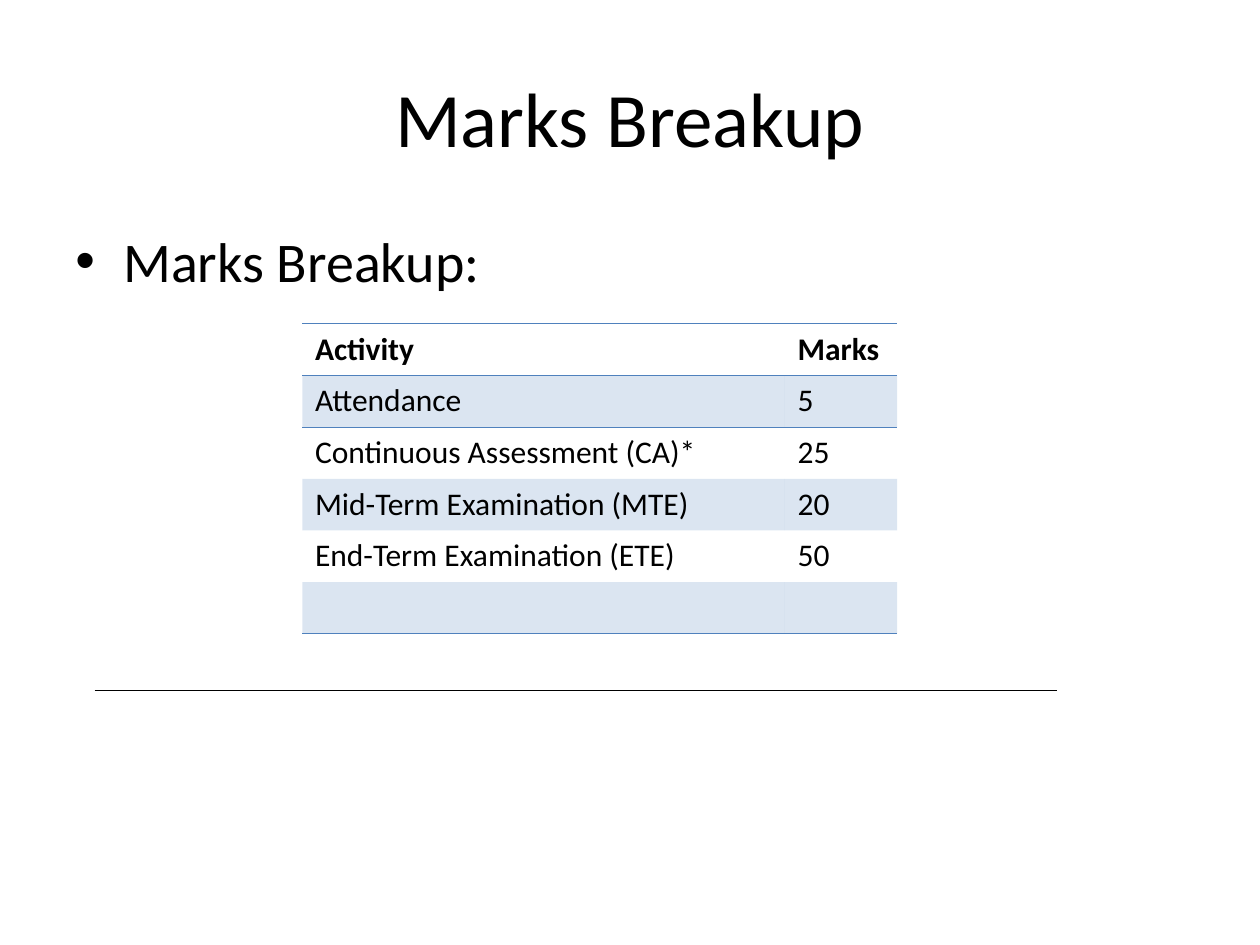
from lxml import etree
from pptx import Presentation
from pptx.dml.color import RGBColor
from pptx.enum.shapes import MSO_CONNECTOR
from pptx.enum.text import MSO_ANCHOR, PP_ALIGN
from pptx.oxml.ns import qn
from pptx.util import Inches, Pt

BLACK = RGBColor(0x00, 0x00, 0x00)
BLUE = RGBColor(0x4F, 0x81, 0xBD)
STRAIGHT = MSO_CONNECTOR.STRAIGHT
MIDDLE, TOP = MSO_ANCHOR.MIDDLE, MSO_ANCHOR.TOP
CENTER, LEFT = PP_ALIGN.CENTER, PP_ALIGN.LEFT
NO_GRID = "{2D5ABB26-0587-4C30-8999-92F81FD0307C}"

ROWS = [
    ("Activity", "Marks"),
    ("Attendance", "5"),
    ("Continuous Assessment (CA)*", "25"),
    ("Mid-Term Examination (MTE)", "20"),
    ("End-Term Examination (ETE)", "50"),
    ("", ""),
]


class Page:
    """Draws elements on one slide in a shared style."""

    def __init__(self, slide, face="Calibri"):
        self.shapes = slide.shapes
        self.face = face

    def style(self, para, size, bold=False):
        font = para.font
        font.name, font.size, font.bold = self.face, Pt(size), bold
        font.color.rgb = BLACK

    def text(self, words, box, size, align=LEFT, anchor=TOP, bullet=False):
        frame = self.shapes.add_textbox(*map(Inches, box)).text_frame
        frame.word_wrap = True
        frame.vertical_anchor = anchor
        para = frame.paragraphs[0]
        para.text = words
        para.alignment = align
        if bullet:
            props = para._p.get_or_add_pPr()
            props.set("marL", str(Inches(0.38)))
            props.set("indent", str(-Inches(0.38)))
            etree.SubElement(props, qn("a:buFont")).set("typeface", "Arial")
            etree.SubElement(props, qn("a:buChar")).set("char", "•")
        self.style(para, size)

    def edge(self, cell, tag):
        """Draw a thin blue border; call before the cell gets its fill."""
        line = etree.SubElement(cell._tc.get_or_add_tcPr(), qn(tag))
        line.set("w", str(Pt(0.45)))
        solid = etree.SubElement(line, qn("a:solidFill"))
        etree.SubElement(solid, qn("a:srgbClr")).set("val", str(BLUE))

    def tint(self, cell):
        cell.fill.solid()
        cell.fill.fore_color.rgb = BLUE
        color = cell._tc.tcPr.find(qn("a:solidFill")).find(qn("a:srgbClr"))
        etree.SubElement(color, qn("a:alpha")).set("val", "20000")

    def table(self, rows, left, top, widths, height):
        size = (left, top, sum(widths), height * len(rows))
        table = self.shapes.add_table(
            len(rows), len(widths), *map(Inches, size)).table
        table.horz_banding = False
        table._tbl.tblPr.find(qn("a:tableStyleId")).text = NO_GRID
        for col, width in zip(table.columns, widths):
            col.width = Inches(width)
        last = len(rows) - 1
        for r, row in enumerate(rows):
            table.rows[r].height = Inches(height)
            for c, words in enumerate(row):
                cell = table.cell(r, c)
                cell.text = words
                self.style(cell.text_frame.paragraphs[0], 18, bold=r == 0)
                if r < 2:
                    self.edge(cell, "a:lnT")
                if r in (0, last):
                    self.edge(cell, "a:lnB")
                if r % 2:
                    self.tint(cell)
                else:
                    cell.fill.background()

    def rule(self, left, right, y):
        line = self.shapes.add_connector(
            STRAIGHT, *map(Inches, (left, y, right, y)))
        line.line.color.rgb = BLACK
        line.line.width = Pt(0.75)
        etree.SubElement(line._element.spPr, qn("a:effectLst"))


def main():
    deck = Presentation()
    deck.slide_width, deck.slide_height = Inches(10), Inches(7.5)
    page = Page(deck.slides.add_slide(deck.slide_layouts[6]))
    page.text("Marks Breakup", (0.5, 0.3, 9, 1.25), 44, CENTER, MIDDLE)
    page.text("Marks Breakup:", (0.5, 1.75, 9, 5.23), 32, bullet=True)
    page.table(ROWS, 2.4, 2.57, (3.83, 0.89), 0.41)
    page.rule(0.75, 8.39, 5.48)
    deck.save("out.pptx")


if __name__ == "__main__":
    main()
